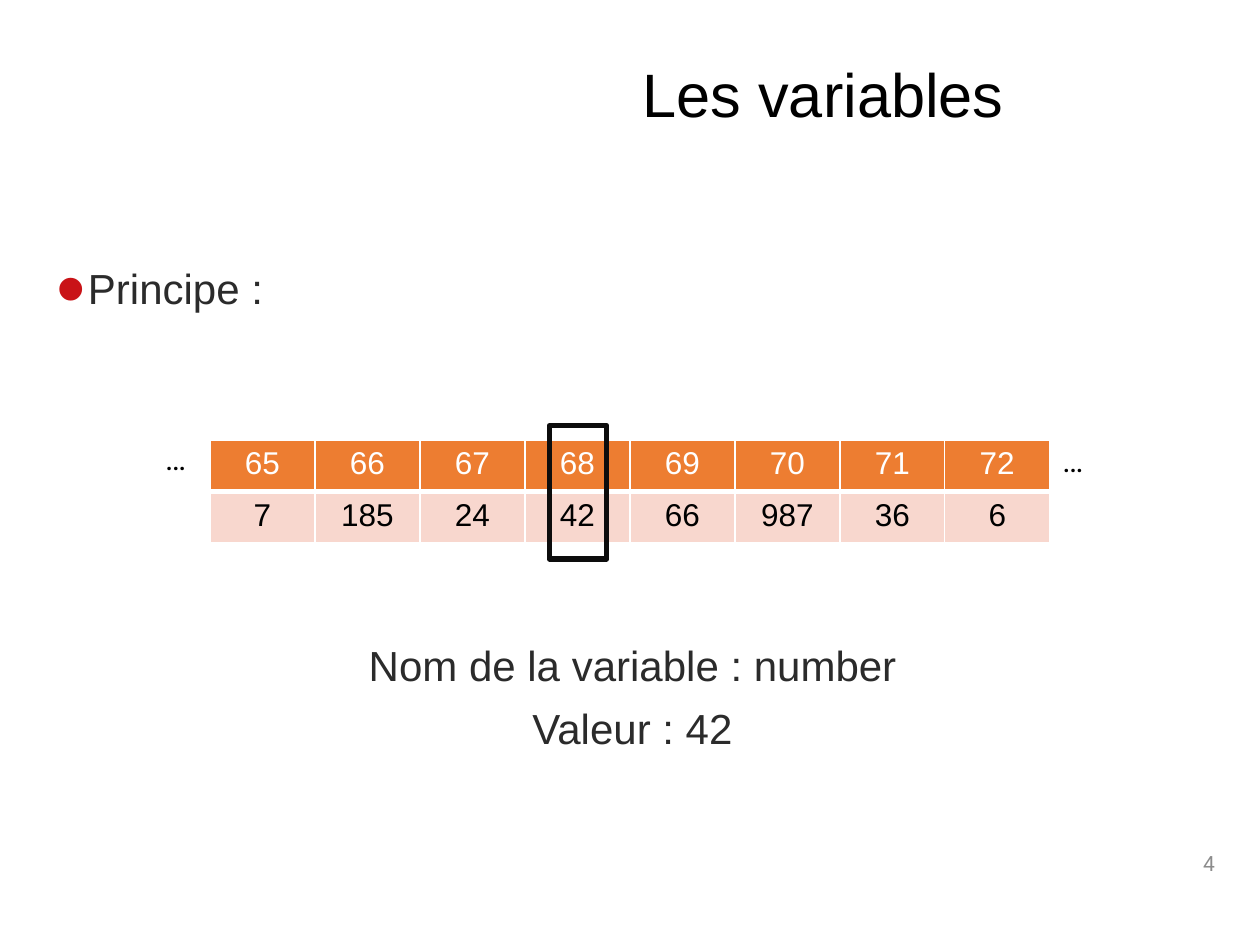
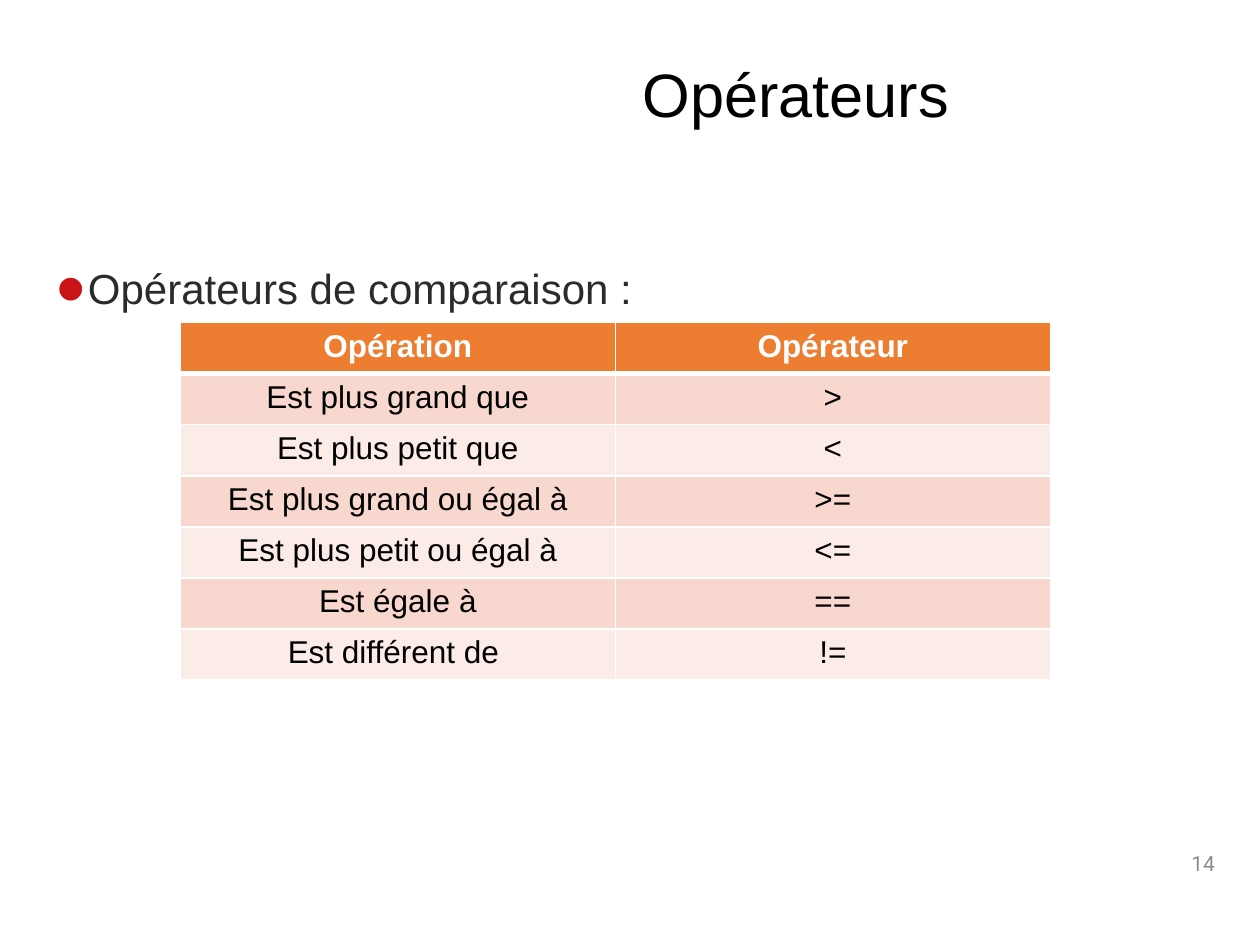
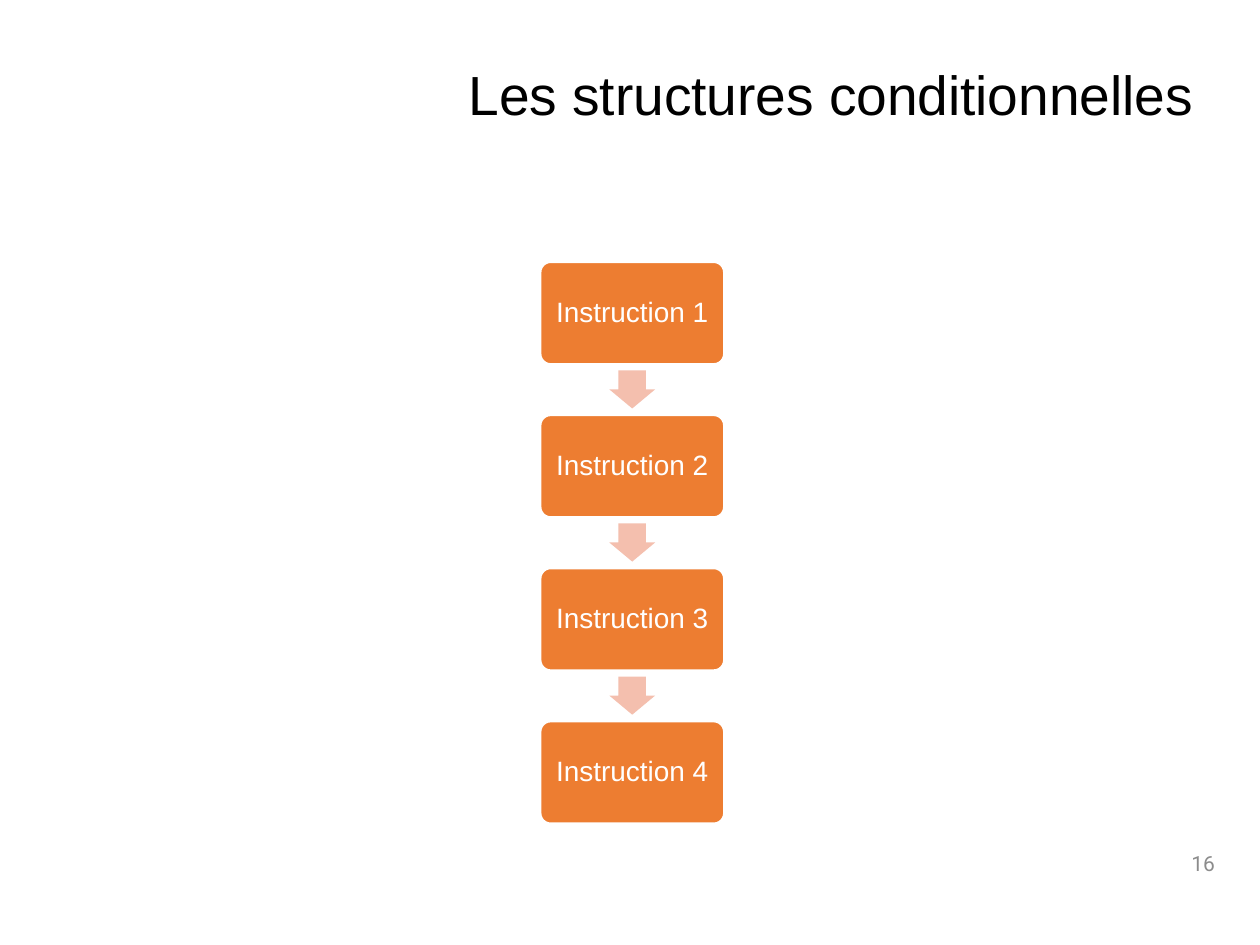
"""Build three slides on variables, operators and conditional structures."""
from lxml.etree import SubElement
from pptx import Presentation
from pptx.dml.color import RGBColor
from pptx.enum.shapes import MSO_SHAPE
from pptx.enum.text import MSO_ANCHOR, MSO_AUTO_SIZE, PP_ALIGN
from pptx.oxml import parse_xml
from pptx.oxml.ns import nsdecls, qn
from pptx.util import Pt

HEX = {"black": "000000", "white": "FFFFFF", "text": "2B2B2B", "grey": "8C8C8C",
       "red": "C91317", "orange": "ED7D31", "dark": "F8D7CE", "light": "FCECE8",
       "arrow": "F4BFAE", "frame": "0D0D0D"}
RGB = {name: RGBColor.from_string(value) for name, value in HEX.items()}


def write(frame, lines, size, color, align=PP_ALIGN.LEFT, face="Arial", space=None, bold=False):
    """Fill a text frame with evenly styled paragraphs."""
    frame.text = "\n".join(lines)
    for para in frame.paragraphs:
        para.alignment = align
        para.line_spacing = space
        font = para.font
        font.size, font.name, font.bold = Pt(size), face, bold
        font.color.rgb = RGB[color]


def grid(slide, rows, left, top, width, bold):
    """Add a table with an orange head and banded rows."""
    high = 29.2
    table = slide.shapes.add_table(len(rows), len(rows[0]), Pt(left), Pt(top),
                                   Pt(width * len(rows[0])), Pt(high * len(rows))).table
    table.first_row = table.horz_banding = False
    for col in table.columns:
        col.width = Pt(width)
    for r, row in enumerate(rows):
        table.rows[r].height = Pt(high)
        for c, text in enumerate(row):
            cell = table.cell(r, c)
            write(cell.text_frame, [text], 18, "black" if r else "white",
                  PP_ALIGN.CENTER, bold=bold and r == 0)
            props = cell._tc.get_or_add_tcPr()
            for side in "LRTB":
                thick = 3 if (r, side) in ((0, "B"), (1, "T")) else 1
                line = SubElement(props, qn(f"a:ln{side}"), w=str(Pt(thick)))
                fill = SubElement(line, qn("a:solidFill"))
                SubElement(fill, qn("a:srgbClr"), val=HEX["white"])
            cell.fill.solid()
            cell.fill.fore_color.rgb = RGB[("light", "dark")[r % 2] if r else "orange"]


deck = Presentation()
deck.slide_width, deck.slide_height = Pt(720), Pt(540)

slides = []
for head, left, size, number, lead in (
    ("Les variables", 360, 35, "4", "Principe :"),
    ("Opérateurs", 360, 35, "14", "Opérateurs de comparaison :"),
    ("Les structures conditionnelles", 260.5, 31.5, "16", None),
):
    slide = deck.slides.add_slide(deck.slide_layouts[5])
    slides.append(slide)
    title = slide.shapes.title
    title.left, title.top, title.width, title.height = Pt(left), Pt(18), Pt(697.5 - left), Pt(75.6)
    title.text_frame.vertical_anchor = MSO_ANCHOR.MIDDLE
    title.text_frame.auto_size = MSO_AUTO_SIZE.NONE
    write(title.text_frame, [head], size, "black", space=0.9)

    frame = slide.shapes.add_textbox(Pt(539.3), Pt(478.8), Pt(162), Pt(28.8)).text_frame
    frame.word_wrap = True
    frame.vertical_anchor = MSO_ANCHOR.MIDDLE
    write(frame, [number], 12, "grey", PP_ALIGN.RIGHT, "Roboto")

    if lead:
        frame = slide.shapes.add_textbox(Pt(25.2), Pt(149.8), Pt(672.5), Pt(34)).text_frame
        frame.word_wrap = True
        write(frame, [lead], 24, "text", space=0.9)
        props = frame.paragraphs[0]._p.get_or_add_pPr()
        props.set("marL", str(Pt(18)))
        props.set("indent", str(Pt(-18)))
        for mark in (f'<a:buClr {nsdecls("a")}><a:srgbClr val="{HEX["red"]}"/></a:buClr>',
                     f'<a:buSzPct {nsdecls("a")} val="200000"/>',
                     f'<a:buFont {nsdecls("a")} typeface="Arial"/>',
                     f'<a:buChar {nsdecls("a")} char="•"/>'):
            props[-1].addprevious(parse_xml(mark))

store, compare, flow = slides

grid(store, [["65", "66", "67", "68", "69", "70", "71", "72"],
             ["7", "185", "24", "42", "66", "987", "36", "6"]], 120, 251.5, 60, False)
for left, top in ((87.3, 247.5), (600, 248.3)):
    frame = store.shapes.add_textbox(Pt(left), Pt(top), Pt(32.4), Pt(29)).text_frame
    frame.word_wrap = False
    write(frame, ["…"], 18, "black", face="Roboto")
box = store.shapes.add_shape(MSO_SHAPE.RECTANGLE, Pt(314), Pt(243.2), Pt(32.7), Pt(76.3))
box.shadow.inherit = False
box.fill.background()
box.line.color.rgb = RGB["frame"]
box.line.width = Pt(3)
frame = store.shapes.add_textbox(Pt(25.2), Pt(365), Pt(672.5), Pt(70)).text_frame
frame.word_wrap = True
write(frame, ["Nom de la variable : number", "Valeur : 42"], 24, "text", PP_ALIGN.CENTER, space=0.9)
frame.paragraphs[1].space_before = Pt(10)

grid(compare, [["Opération", "Opérateur"],
               ["Est plus grand que", ">"],
               ["Est plus petit que", "<"],
               ["Est plus grand ou égal à", ">="],
               ["Est plus petit ou égal à", "<="],
               ["Est égale à", "=="],
               ["Est différent de ", "!="]], 103, 184.3, 248.6, True)

steps = ["Instruction 1 ", "Instruction 2", "Instruction 3", "Instruction 4"]
for i, step in enumerate(steps):
    top = 149.8 + 87.5 * i
    box = flow.shapes.add_shape(MSO_SHAPE.ROUNDED_RECTANGLE, Pt(308.9), Pt(top), Pt(104.8), Pt(58.2))
    box.adjustments[0] = 0.1
    box.shadow.inherit = False
    box.fill.solid()
    box.fill.fore_color.rgb = RGB["orange"]
    box.line.color.rgb = RGB["white"]
    box.line.width = Pt(1)
    frame = box.text_frame
    frame.margin_left = frame.margin_right = Pt(6.5)
    frame.vertical_anchor = MSO_ANCHOR.MIDDLE
    write(frame, [step], 16, "white", PP_ALIGN.CENTER, space=0.9)
    if i < len(steps) - 1:
        arrow = flow.shapes.add_shape(MSO_SHAPE.DOWN_ARROW, Pt(348.2), Pt(top + 61.8), Pt(26.2), Pt(21.8))
        arrow.adjustments[0], arrow.adjustments[1] = 0.6, 0.5
        arrow.shadow.inherit = False
        arrow.fill.solid()
        arrow.fill.fore_color.rgb = RGB["arrow"]
        arrow.line.fill.background()

deck.save("out.pptx")
